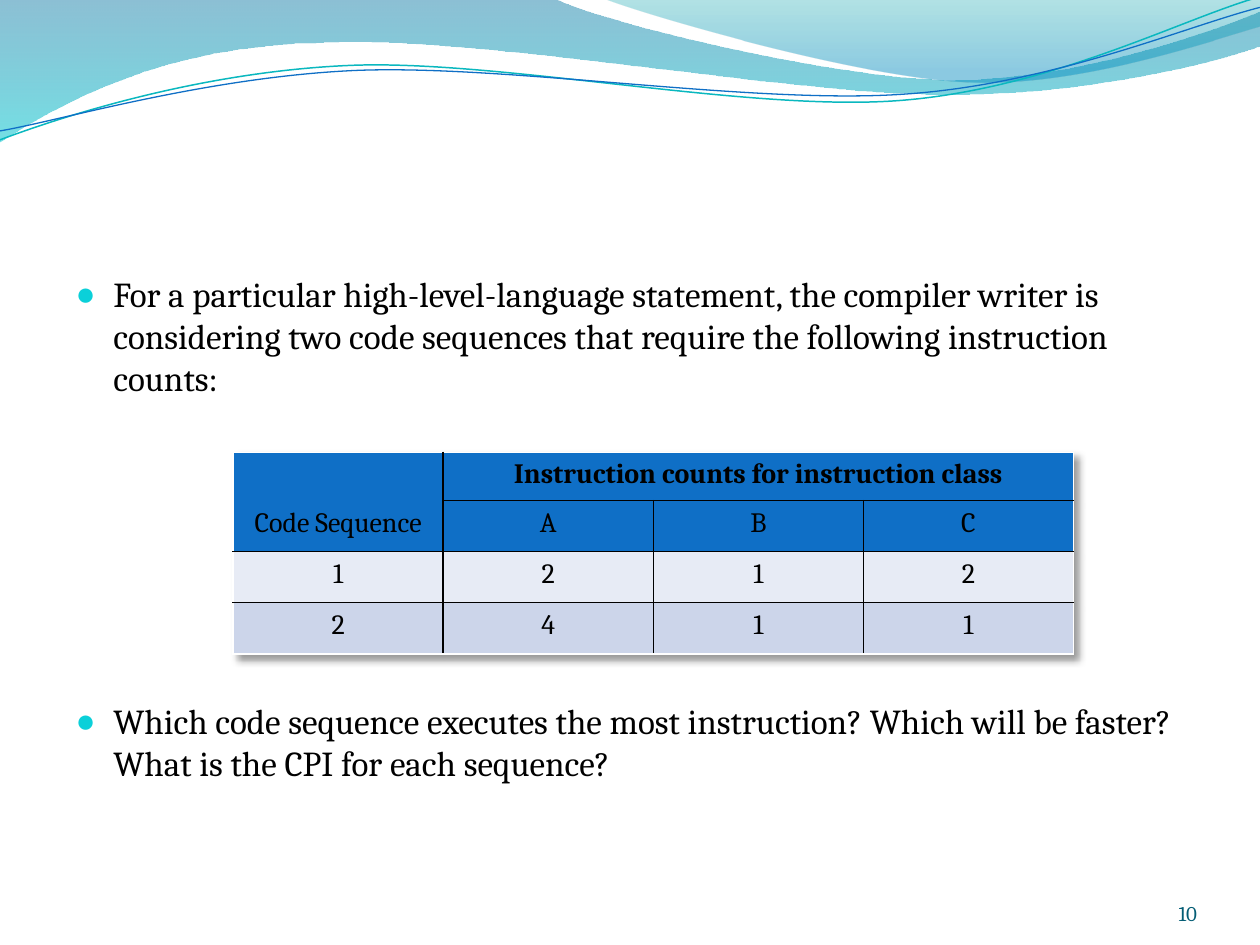
from dataclasses import dataclass

from lxml import etree
from pptx import Presentation
from pptx import util as u
from pptx.dml.color import RGBColor
from pptx.enum import text as t
from pptx.oxml import ns


@dataclass(frozen=True)
class Theme:
    font: str = "Cambria"
    ink: str = "000000"
    white: str = "FFFFFF"
    bullet: str = "0BD0D9"
    page: str = "045D75"
    header: str = "0F6FC6"
    bands: tuple = ("E7EBF5", "CCD5EA")
    teal_line: str = "0AB8BF"
    blue_line: str = "0F6FC6"
    # Gradient stops: position, colour, opacity in percent
    wide_wave: tuple = ((0, "0074A1", 45), (1, "00C6CF", 55))
    short_wave: tuple = ((0, "00A1A9", 30), (0.8, "008BBF", 45))
    body_size: int = 20
    table_size: int = 16
    page_size: int = 12


THEME = Theme()

# Outlines in cm: a pair is a straight step, six numbers are a Bezier curve
WIDE_WAVE = [
    (0, -0.03), (11.18, -0.03),
    (12.09, 0.43, 16.87, 1.6, 19.25, 1.6),
    (21.67, 1.6, 24.33, 0.66, 25.4, 0.23),
    (25.43, 0.91),
    (24.97, 1.12, 22.1, 1.93, 18.95, 1.9),
    (15.8, 1.9, 9.7, 0.71, 6.53, 0.86),
    (3.28, 0.89, 1.17, 2.11, -0.03, 2.87),
]
SHORT_WAVE = [
    (12.17, -0.03),
    (12.93, 0.28, 17.32, 1.57, 19.53, 1.65),
    (21.74, 1.75, 24.41, 0.81, 25.4, 0.53),
    (25.4, 0),
]
TEAL_CURVE = [
    (0, 2.82),
    (1.22, 2.36, 4.01, 1.45, 7.04, 1.32),
    (10.03, 1.19, 15.06, 2.26, 18.11, 2.03),
    (21.16, 1.8, 23.83, 0.38, 25.35, -0.05),
]
BLUE_CURVE = [
    (0, 2.64),
    (1.19, 2.44, 4.17, 1.55, 7.19, 1.42),
    (10.24, 1.3, 15.16, 2.11, 18.21, 1.9),
    (21.23, 1.7, 23.9, 0.53, 25.4, 0.15),
]

QUESTIONS = [
    "For a particular high-level-language statement, the compiler writer is "
    "considering two code sequences that require the following instruction counts:",
    "Which code sequence executes the most instruction? Which will be faster? "
    "What is the CPI for each sequence?",
]
COUNTS = [
    ["", "Instruction counts for instruction class", "", ""],
    ["Code Sequence", "A", "B", "C"],
    ["1", "2", "1", "2"],
    ["2", "4", "1", "1"],
]


def rgb(colour):
    return RGBColor.from_string(colour)


def add_xml(parent, tag, **attributes):
    return etree.SubElement(parent, ns.qn(tag), attributes)


def write(paragraph, text, size, colour=THEME.ink, bold=False, align=None, before=0):
    paragraph.alignment = align
    paragraph.space_before = u.Pt(before)
    run = paragraph.add_run()
    run.text = text
    run.font.name, run.font.size, run.font.bold = THEME.font, u.Pt(size), bold
    run.font.color.rgb = rgb(colour)


def add_outline(slide, left, top, outline, closed):
    points = [(u.Cm(left + part[i]), u.Cm(top + part[i + 1]))
              for part in outline for i in range(0, len(part), 2)]
    builder = slide.shapes.build_freeform(*points[0])
    builder.add_line_segments(points[1:], close=closed)
    shape = builder.convert_to_shape()
    shape.shadow.inherit = False
    # Gather the three points of each curve into one Bezier segment
    steps = iter(list(shape._element.iter(ns.qn("a:lnTo"))))
    for part in outline[1:]:
        step = next(steps)
        if len(part) == 6:
            step.tag = ns.qn("a:cubicBezTo")
            for other in (next(steps), next(steps)):
                step.append(other[0])
                other.getparent().remove(other)
    return shape


def add_waves(slide, left, top):
    # Translucent bands
    for outline, stops in ((WIDE_WAVE, THEME.wide_wave), (SHORT_WAVE, THEME.short_wave)):
        wave = add_outline(slide, left, top, outline, closed=True)
        wave.line.fill.background()
        wave.fill.gradient()
        wave.fill.gradient_angle = 270
        for stop, (position, colour, _) in zip(wave.fill.gradient_stops, stops):
            stop.position = position
            stop.color.rgb = rgb(colour)
        colours = list(wave._element.spPr.iter(ns.qn("a:srgbClr")))
        for element, (_, _, opacity) in zip(colours, stops):
            add_xml(element, "a:alpha", val=str(opacity * 1000))
    # Thin curves
    for outline, colour, width in ((TEAL_CURVE, THEME.teal_line, 0.85),
                                   (BLUE_CURVE, THEME.blue_line, 0.75)):
        curve = add_outline(slide, left, top, outline, closed=False)
        curve.fill.background()
        curve.line.color.rgb = rgb(colour)
        curve.line.width = u.Pt(width)


def add_questions(body, left, top, width, height):
    body.left, body.top, body.width, body.height = map(u.Cm, (left, top, width, height))
    frame = body.text_frame
    table_gap = 172  # points kept free for the table
    for index, question in enumerate(QUESTIONS):
        paragraph = frame.add_paragraph() if index else frame.paragraphs[0]
        write(paragraph, question, THEME.body_size, before=index * table_gap)
        props = paragraph._p.get_or_add_pPr()
        props.set("marL", str(u.Cm(0.76)))
        props.set("indent", str(u.Cm(-0.76)))
        add_xml(add_xml(props, "a:buClr"), "a:srgbClr", val=THEME.bullet)
        add_xml(props, "a:buSzPct", val="95000")
        add_xml(props, "a:buChar", char="●")


def set_border(cell, side, colour):
    props = cell._tc.get_or_add_tcPr()
    line = add_xml(props, f"a:ln{side}", w=str(u.Pt(1)))
    if colour is None:
        add_xml(line, "a:noFill")
    else:
        add_xml(add_xml(line, "a:solidFill"), "a:srgbClr", val=colour)


def add_counts(slide, left, top, width, row_heights):
    rows, columns = len(COUNTS), len(COUNTS[0])
    box = map(u.Cm, (left, top, width, sum(row_heights)))
    table = slide.shapes.add_table(rows, columns, *box).table
    table.first_row = table.horz_banding = False
    for row, height in zip(table.rows, row_heights):
        row.height = u.Cm(height)
    table.cell(0, 1).merge(table.cell(0, columns - 1))

    for r, row in enumerate(COUNTS):
        for c, text in enumerate(row):
            cell = table.cell(r, c)
            if text:
                write(cell.text_frame.paragraphs[0], text, THEME.table_size,
                      bold=r == 0, align=t.PP_ALIGN.CENTER)
            else:
                cell.margin_top = cell.margin_bottom = 0
            # White outer edge, black grid, no rule above "Code Sequence"
            last = c == columns - 1 or (r == 0 and c > 0)
            edges = {"L": c == 0, "R": last, "T": r == 0, "B": r == rows - 1}
            for side, outer in edges.items():
                open_side = c == 0 and (r, side) in ((0, "B"), (1, "T"))
                colour = THEME.white if outer else THEME.ink
                set_border(cell, side, None if open_side else colour)
            cell.fill.solid()
            cell.fill.fore_color.rgb = rgb(THEME.header if r < 2 else THEME.bands[r - 2])

    # Soft shadow at the lower right
    effects = etree.Element(ns.qn("a:effectLst"))
    shadow = add_xml(effects, "a:outerShdw", blurRad="50800", dist="50800",
                     dir="2700000", algn="tl", rotWithShape="0")
    add_xml(add_xml(shadow, "a:srgbClr", val=THEME.ink), "a:alpha", val="40000")
    table._tbl.tblPr.insert(0, effects)


def add_page_number(slide, left, top, width, height):
    frame = slide.shapes.add_textbox(*map(u.Cm, (left, top, width, height))).text_frame
    frame.word_wrap = True
    frame.margin_left = frame.margin_right = frame.margin_top = frame.margin_bottom = 0
    frame.vertical_anchor = t.MSO_ANCHOR.BOTTOM
    write(frame.paragraphs[0], "10", THEME.page_size, THEME.page, align=t.PP_ALIGN.RIGHT)


def main():
    deck = Presentation()
    deck.slide_width, deck.slide_height = u.Cm(25.4), u.Cm(19.05)
    slide = deck.slides.add_slide(deck.slide_layouts[1])
    title, body = slide.placeholders
    title._element.getparent().remove(title._element)
    add_waves(slide, 0, 0)
    add_questions(body, 1.27, 5.37, 22.86, 12.19)
    add_page_number(slide, 22.02, 17.65, 2.11, 1.02)
    add_counts(slide, 4.7, 9.12, 16.94, (0.97, 1.03, 1.03, 1.03))
    deck.save("out.pptx")


if __name__ == "__main__":
    main()
